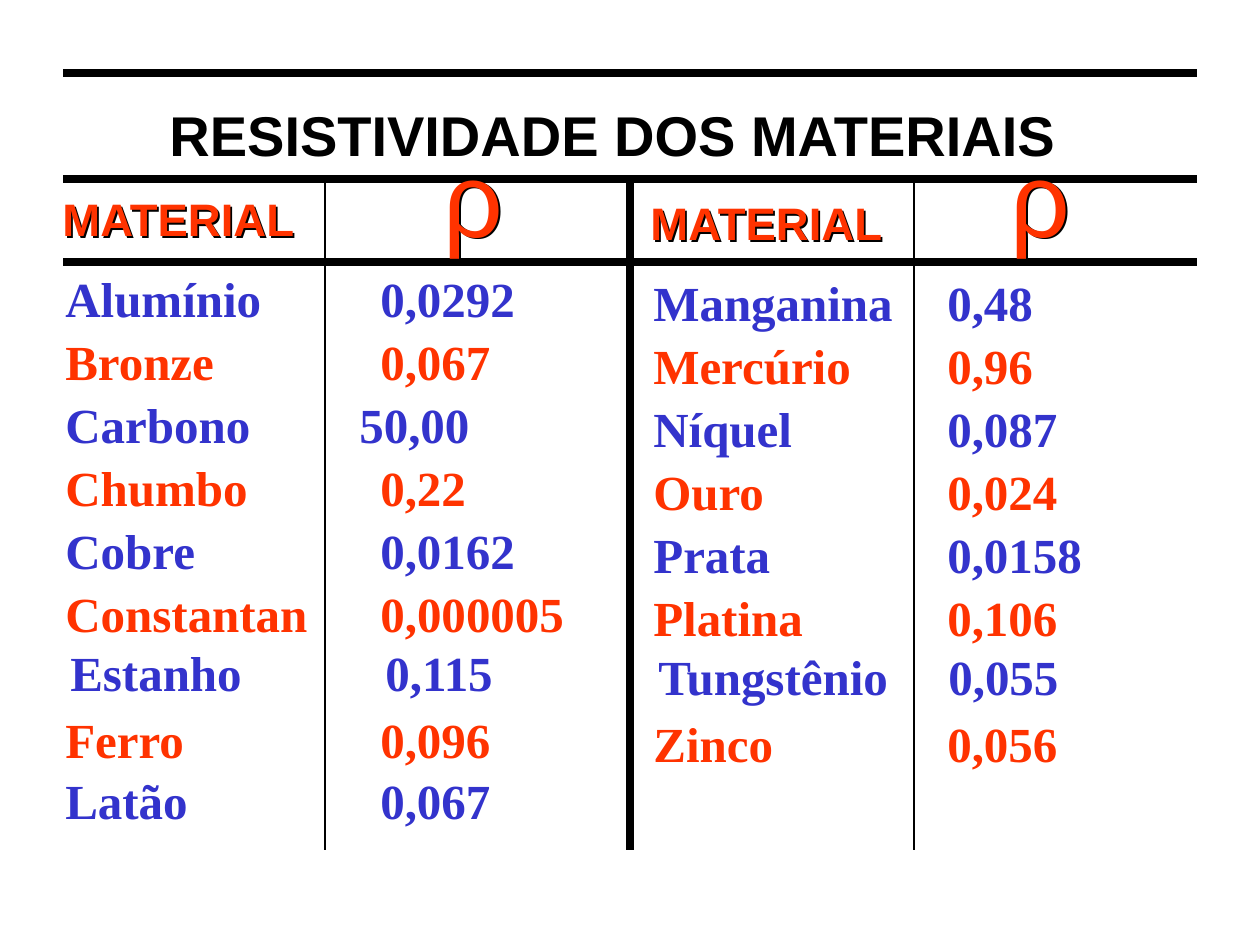
from lxml import etree
from pptx import Presentation
from pptx import util as u
from pptx.dml.color import RGBColor
from pptx.enum import shapes, text
from pptx.oxml.ns import qn

BLUE, RED, BLACK = "3333CC", "FF3300", "000000"
SERIF, SANS = "Times New Roman", "Arial"

LEFT = [
    ("Alumínio", 223, "0,0292"),
    ("Bronze", 176, "0,067"),
    ("Carbono", 211, "50,00"),
    ("Chumbo", 209, "0,22"),
    ("Cobre", 157, "0,0162"),
    ("Constantan", 269, "0,000005"),
    ("Estanho", 199, "0,115"),
    ("Ferro", 147, "0,096"),
    ("Latão", 149, "0,067"),
]
RIGHT = [
    ("Manganina", 267, "0,48"),
    ("Mercúrio", 225, "0,96"),
    ("Níquel", 166, "0,087"),
    ("Ouro", 138, "0,024"),
    ("Prata", 143, "0,0158"),
    ("Platina", 176, "0,106"),
    ("Tungstênio", 260, "0,055"),
    ("Zinco", 147, "0,056"),
]
HALVES = [(LEFT, 53, 368, 262), (RIGHT, 641, 935, 266)]
HEADS = [
    ("MATERIAL", 50, 185, 261, 68, 26, True),
    ("MATERIAL", 638, 189, 261, 68, 26, True),
    ("ρ", 431, 126, 83, 139, 60, False),
    ("ρ", 998, 126, 83, 139, 60, False),
]
ROWS = [(73, 4.5), (179, 4.5), (262, 4.5)]
COLS = [(325, 0.75), (630, 4.5), (914, 0.75)]
STEP = 63
DROP = {6: -4, 8: -2}
NUDGE = {"Estanho": 5, "Tungstênio": 5, "50,00": -21, "0,115": 5, "0,055": 1}


def px(n):
    return u.Emu(round(n * 914400 / 126))


def rgb(code):
    return RGBColor.from_string(code)


def line(slide, x1, y1, x2, y2, width):
    rule = slide.shapes.add_connector(
        shapes.MSO_CONNECTOR.STRAIGHT, px(x1), px(y1), px(x2), px(y2))
    rule.line.color.rgb = rgb(BLACK)
    rule.line.width = u.Pt(width)
    etree.SubElement(rule.element.spPr, qn("a:effectLst"))


def label(slide, words, x, y, w, h, size, face, color, bold=True):
    box = slide.shapes.add_textbox(px(x), px(y), px(w), px(h))
    frame = box.text_frame
    frame.word_wrap = False
    frame.auto_size = text.MSO_AUTO_SIZE.SHAPE_TO_FIT_TEXT
    para = frame.paragraphs[0]
    para.text = words
    font = para.font
    font.size, font.name, font.bold = u.Pt(size), face, bold
    font.color.rgb = rgb(color)
    return box


def shade(box):
    effect = etree.SubElement(box.element.spPr, qn("a:effectLst"))
    drop = etree.SubElement(effect, qn("a:outerShdw"),
                            dist="17961", dir="2700000")
    etree.SubElement(drop, qn("a:srgbClr"), val=BLACK)


def main():
    deck = Presentation()
    deck.slide_width, deck.slide_height = px(1260), px(945)
    slide = deck.slides.add_slide(deck.slide_layouts[6])
    for y, width in ROWS:
        line(slide, 63, y, 1197, y, width)
    for x, width in COLS:
        line(slide, x, 179, x, 850, width)
    for items, left, right, top in HALVES:
        for i, (name, wide, value) in enumerate(items):
            y = top + i * STEP + DROP.get(i, 0)
            color = RED if i % 2 else BLUE
            span = round(26 + 24.5 * (len(value) - 0.5))
            for words, x, w in [(name, left, wide), (value, right, span)]:
                label(slide, words, x + NUDGE.get(words, 0), y, w, 72,
                      28, SERIF, color)
    label(slide, "RESISTIVIDADE DOS MATERIAIS", 157, 94, 917, 81,
          32, SANS, BLACK)
    for words, x, y, w, h, size, bold in HEADS:
        shade(label(slide, words, x, y, w, h, size, SANS, RED, bold))
    deck.save("out.pptx")


if __name__ == "__main__":
    main()
